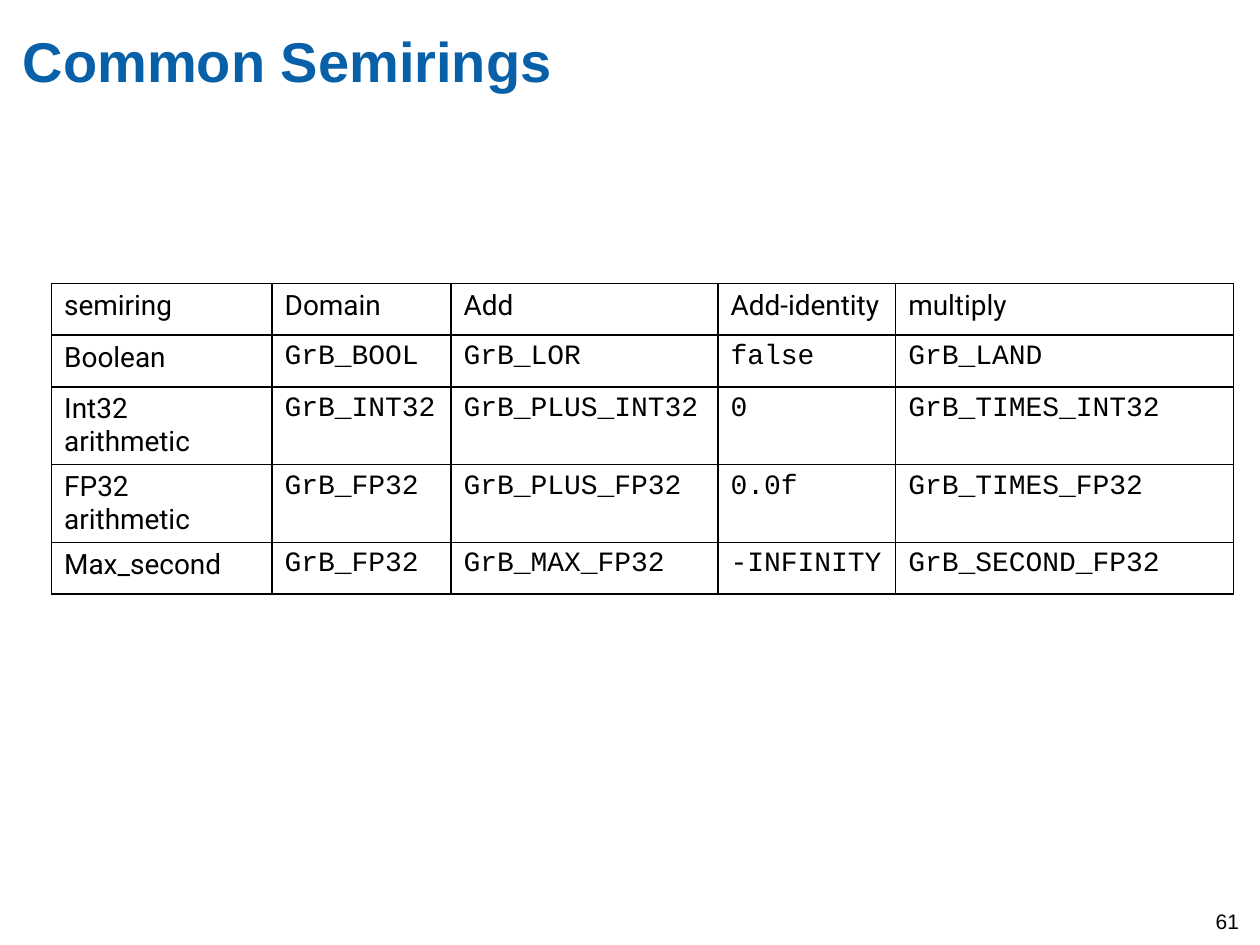
from dataclasses import dataclass

from lxml.etree import SubElement
from pptx import Presentation
from pptx.dml.color import RGBColor
from pptx.enum.text import MSO_ANCHOR, MSO_AUTO_SIZE, PP_ALIGN
from pptx.oxml.ns import qn
from pptx.util import Inches, Pt


@dataclass(frozen=True)
class Theme:
    blue: str = "0860A8"
    black: str = "000000"
    sans: str = "Arial"
    label: str = "Roboto"
    code: str = "Courier New"
    title_size: int = 32
    table_size: int = 16
    number_size: int = 12
    border_width: int = 1


THEME = Theme()

SEMIRINGS = [
    ("semiring", "Domain", "Add", "Add-identity", "multiply"),
    ("Boolean", "GrB_BOOL", "GrB_LOR", "false", "GrB_LAND"),
    ("Int32 arithmetic", "GrB_INT32", "GrB_PLUS_INT32", "0", "GrB_TIMES_INT32"),
    ("FP32 arithmetic", "GrB_FP32", "GrB_PLUS_FP32", "0.0f", "GrB_TIMES_FP32"),
    ("Max_second", "GrB_FP32", "GrB_MAX_FP32", "-INFINITY", "GrB_SECOND_FP32"),
]
COLUMN_WIDTHS = (1.75, 1.42, 2.12, 1.41, 2.68)
ROW_HEIGHT = 0.41


def style_text(paragraph, face, size, color=THEME.black, bold=False):
    paragraph.alignment = PP_ALIGN.LEFT
    font = paragraph.font
    font.name, font.size, font.bold = face, Pt(size), bold
    font.color.rgb = RGBColor.from_string(color)


def add_title(slide, text):
    title = slide.shapes.title
    title.left, title.top = Inches(0.18), Inches(0.21)
    title.width, title.height = Inches(9.01), Inches(0.97)
    frame = title.text_frame
    frame.text = text
    frame.auto_size = MSO_AUTO_SIZE.NONE
    frame.vertical_anchor = MSO_ANCHOR.TOP
    frame.margin_left = frame.margin_right = 0
    frame.margin_top = frame.margin_bottom = 0
    style_text(frame.paragraphs[0], THEME.sans, THEME.title_size, THEME.blue, bold=True)


def add_borders(cell):
    properties = cell._tc.get_or_add_tcPr()
    for side in ("a:lnL", "a:lnR", "a:lnT", "a:lnB"):
        line = SubElement(properties, qn(side), w=str(Pt(THEME.border_width)))
        fill = SubElement(line, qn("a:solidFill"))
        SubElement(fill, qn("a:srgbClr"), val=THEME.black)


def add_semiring_table(slide):
    table = slide.shapes.add_table(
        len(SEMIRINGS), len(COLUMN_WIDTHS), Inches(0.41), Inches(2.25),
        Inches(sum(COLUMN_WIDTHS)), Inches(ROW_HEIGHT * len(SEMIRINGS)),
    ).table
    table.first_row = table.horz_banding = False
    for column, width in zip(table.columns, COLUMN_WIDTHS):
        column.width = Inches(width)

    for row_index, semiring in enumerate(SEMIRINGS):
        table.rows[row_index].height = Inches(ROW_HEIGHT)
        for column_index, text in enumerate(semiring):
            cell = table.cell(row_index, column_index)
            cell.text = text
            # Headings and semiring names are labels; the rest is code
            is_label = row_index == 0 or column_index == 0
            face = THEME.label if is_label else THEME.code
            style_text(cell.text_frame.paragraphs[0], face, THEME.table_size)
            add_borders(cell)
            cell.fill.background()


def add_page_number(slide, number):
    box = slide.shapes.add_textbox(Inches(9.55), Inches(7.16), Inches(0.45), Inches(0.33))
    frame = box.text_frame
    frame.word_wrap = True
    frame.text = str(number)
    style_text(frame.paragraphs[0], THEME.sans, THEME.number_size)


def main():
    presentation = Presentation()
    presentation.slide_width, presentation.slide_height = Inches(10), Inches(7.5)
    title_only = presentation.slide_layouts[5]
    slide = presentation.slides.add_slide(title_only)

    # Heading
    add_title(slide, "Common Semirings")
    # Semiring definitions
    add_semiring_table(slide)
    # Footer
    add_page_number(slide, 61)

    presentation.save("out.pptx")


if __name__ == "__main__":
    main()
